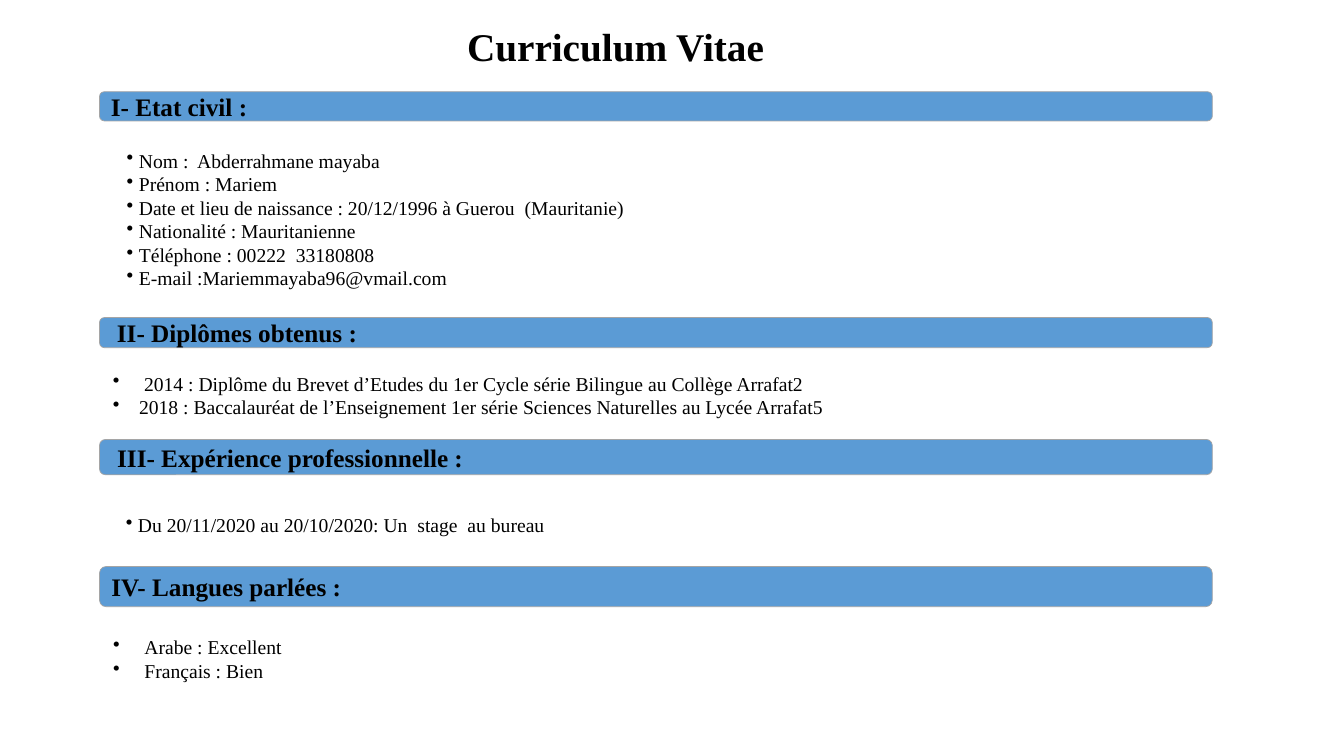
from dataclasses import dataclass

from lxml.etree import SubElement
from pptx import Presentation
from pptx.dml.color import RGBColor
from pptx.enum.shapes import MSO_SHAPE as Shape
from pptx.enum.text import MSO_ANCHOR as Anchor, PP_ALIGN as Align
from pptx.oxml.ns import qn
from pptx.util import Inches, Pt

SLIDE_WIDTH, SLIDE_HEIGHT = Inches(13.33), Inches(7.5)
FONT = "Times New Roman"
BLACK, WHITE, BLUE, GREY = "000000", "FFFFFF", "5B9BD5", "A5A5A5"
LEFT, WIDTH = 7.4, 82.8
TIGHT, MEDIUM, WIDE = 0.12, 0.26, 0.31


@dataclass
class Section:
    """One CV section; tops and heights are percentages of the slide height."""
    heading: str
    heading_top: float
    heading_height: float
    entries: list
    body_top: float
    body_height: float
    heading_indent: float = 0
    body_left: float = LEFT
    bullet_start: float = 0
    rounding: float = 0.1667
    align: Align = Align.JUSTIFY


SECTIONS = [
    Section("I- Etat civil :", 12.13, 3.87, [
        ("Nom :  Abderrahmane mayaba", TIGHT),
        ("Prénom : Mariem", TIGHT),
        ("Date et lieu de naissance : 20/12/1996 à Guerou  (Mauritanie)", TIGHT),
        ("Nationalité : Mauritanienne", TIGHT),
        ("Téléphone : 00222  33180808", TIGHT),
        ("E-mail :Mariemmayaba96@vmail.com", TIGHT),
    ], 16.93, 24.13, body_left=8.03),
    Section("II- Diplômes obtenus :", 42, 4, [
        ("2014 : Diplôme du Brevet d’Etudes du 1er Cycle série Bilingue au Collège Arrafat2", WIDE),
        ("2018 : Baccalauréat de l’Enseignement 1er série Sciences Naturelles au Lycée Arrafat5", MEDIUM),
    ], 47.6, 9.33, heading_indent=0.06),
    Section("III- Expérience professionnelle :", 58.13, 4.67, [
        ("Du 20/11/2020 au 20/10/2020: Un  stage  au bureau", TIGHT),
    ], 64.27, 10.27, heading_indent=0.06, bullet_start=0.05, rounding=0.5, align=Align.LEFT),
    Section("IV- Langues parlées :", 74.93, 5.33, [
        ("Arabe : Excellent", WIDE),
        ("Français : Bien", WIDE),
    ], 82, 10.27, align=Align.LEFT),
]


def color(value):
    """Turn a hex string into a colour."""
    return RGBColor.from_string(value)


def place(left, top, width, height):
    """Convert percentages of the slide into a position and size."""
    return (int(SLIDE_WIDTH * left / 100), int(SLIDE_HEIGHT * top / 100),
            int(SLIDE_WIDTH * width / 100), int(SLIDE_HEIGHT * height / 100))


def style(paragraph, size, bold, align):
    """Align a paragraph and format its runs."""
    paragraph.alignment = align
    for run in paragraph.runs:
        run.font.name, run.font.size, run.font.bold = FONT, Pt(size), bold
        run.font.color.rgb = color(BLACK)


def indent(paragraph, start, hanging=0):
    """Indent a paragraph, with a bullet when it has a hanging indent."""
    properties = paragraph._p.get_or_add_pPr()
    properties.set("marL", str(Inches(start + hanging)))
    properties.set("indent", str(-Inches(hanging)))
    if hanging:
        SubElement(properties, qn("a:buChar")).set("char", "•")


def add_panel(slide, bounds, fill, line, line_width):
    """Draw a rounded panel and return it."""
    panel = slide.shapes.add_shape(Shape.ROUNDED_RECTANGLE, *place(*bounds))
    panel.shadow.inherit = False
    panel.fill.solid()
    panel.fill.fore_color.rgb = color(fill)
    panel.line.color.rgb = color(line)
    panel.line.width = Pt(line_width)
    panel.text_frame.word_wrap = True
    panel.text_frame.vertical_anchor = Anchor.MIDDLE
    return panel


def add_title(slide, wording):
    """Write the slide title."""
    frame = slide.shapes.add_textbox(*place(9.08, 2.27, 73.44, 7.6)).text_frame
    frame.word_wrap = True
    frame.vertical_anchor = Anchor.BOTTOM
    frame.text = wording
    frame.paragraphs[0].line_spacing = 0.9
    style(frame.paragraphs[0], 28, True, Align.CENTER)


def add_heading(slide, section):
    """Draw the blue bar of a section."""
    bounds = (LEFT, section.heading_top, WIDTH, section.heading_height)
    frame = add_panel(slide, bounds, BLUE, GREY, 0.5).text_frame
    frame.text = section.heading
    style(frame.paragraphs[0], 18, True, Align.JUSTIFY)
    indent(frame.paragraphs[0], section.heading_indent)


def add_body(slide, section):
    """Draw the bulleted entries of a section."""
    bounds = (section.body_left, section.body_top, WIDTH, section.body_height)
    body = add_panel(slide, bounds, WHITE, WHITE, 1)
    body.adjustments[0] = section.rounding
    body.text_frame.text = "\n".join(wording for wording, _ in section.entries)
    for paragraph, (_, hanging) in zip(body.text_frame.paragraphs, section.entries):
        style(paragraph, 14, False, section.align)
        indent(paragraph, section.bullet_start, hanging)


def main():
    """Build the CV slide."""
    deck = Presentation()
    deck.slide_width, deck.slide_height = SLIDE_WIDTH, SLIDE_HEIGHT
    slide = deck.slides.add_slide(deck.slide_layouts[6])
    add_title(slide, "Curriculum Vitae")
    for section in SECTIONS:
        add_heading(slide, section)
        add_body(slide, section)
    deck.save("out.pptx")


if __name__ == "__main__":
    main()
